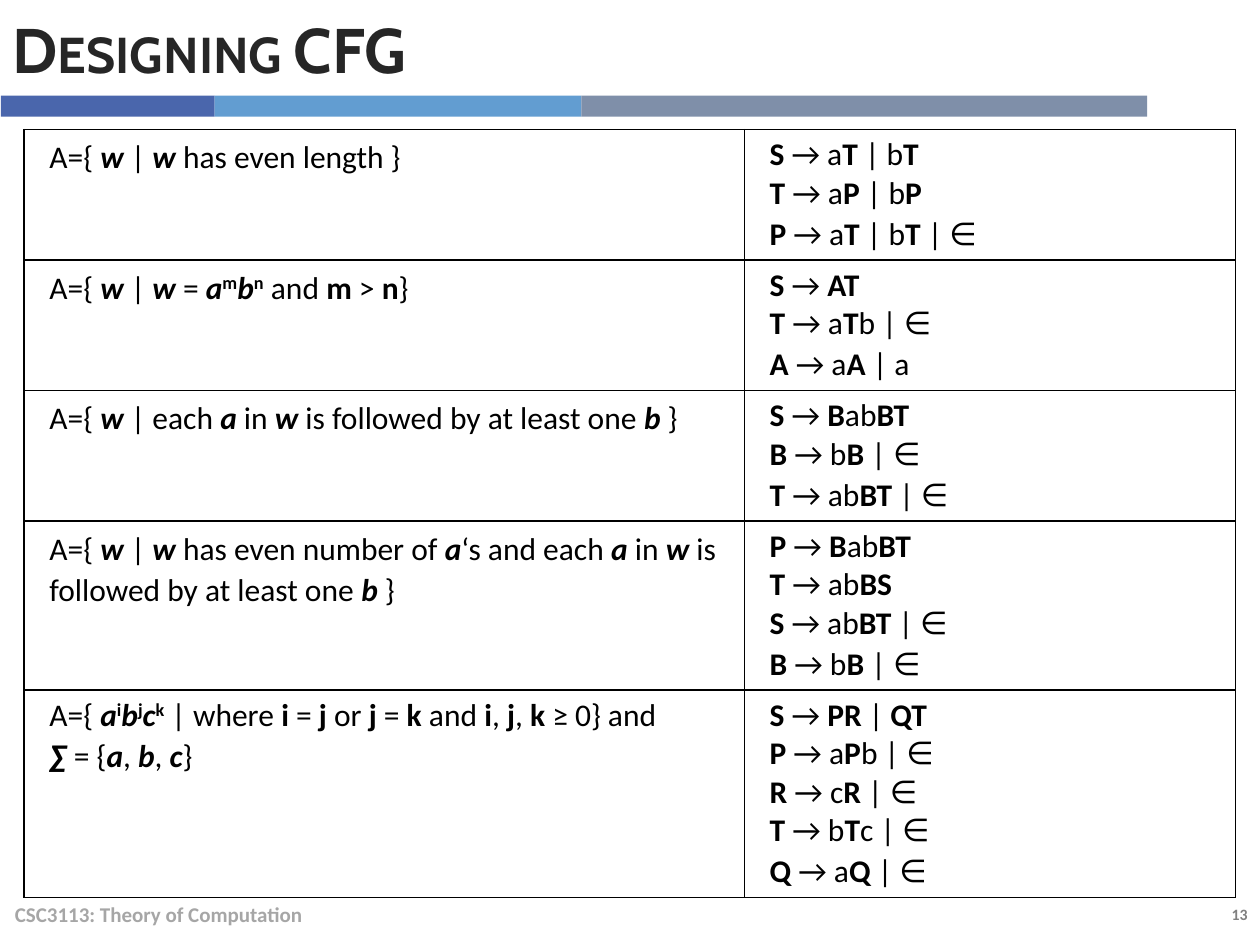
from itertools import groupby

from lxml import etree
from pptx import Presentation
from pptx.dml.color import RGBColor
from pptx.enum.shapes import MSO_SHAPE
from pptx.enum.text import MSO_ANCHOR, MSO_AUTO_SIZE, PP_ALIGN
from pptx.oxml.ns import qn
from pptx.util import Pt

RECTANGLE = MSO_SHAPE.RECTANGLE
TOP, MIDDLE = MSO_ANCHOR.TOP, MSO_ANCHOR.MIDDLE
LEFT, RIGHT = PP_ALIGN.LEFT, PP_ALIGN.RIGHT
NO_AUTOFIT = MSO_AUTO_SIZE.NONE

COLORS = {
    "title": "262626",
    "text": "000000",
    "border": "000000",
    "footer": "A6A6A6",
    "number": "808080",
    "indigo": "4A66AC",
    "sky": "629DD1",
    "slate": "7F8FA9",
}

BANNER_TOP, BANNER_HEIGHT = 54.7, 12
BANNER_LEFT = 0.5
BANNER_BARS = [("indigo", 122.2), ("sky", 209.5), ("slate", 323.3)]

TABLE_LEFT, TABLE_TOP = 13.8, 74
COLUMN_WIDTHS = [411.6, 280.6]
LINE_HEIGHT, ROW_PADDING = 22, 8.6
LAST_LINE_SPACING = 1.07

# In the languages, *x* is bold italic, _x_ is bold and ^x^ is a bold superscript.
MARKS = {
    "*": {"bold": True, "italic": True},
    "_": {"bold": True},
    "^": {"bold": True, "superscript": True},
}
LANGUAGES_AND_RULES = [
    (["A={ *w* | *w* has even length }"],
     ["S → aT | bT", "T → aP | bP", "P → aT | bT | ∈"]),
    (["A={ *w* | *w* = *a*^m^*b*^n^ and _m_ > _n_}"],
     ["S → AT", "T → aTb | ∈", "A → aA | a"]),
    (["A={ *w* | each *a* in *w* is followed by at least one *b* }"],
     ["S → BabBT", "B → bB | ∈", "T → abBT | ∈"]),
    (["A={ *w* | *w* has even number of *a*‘s and each *a* in *w* is "
      "followed by at least one *b* }"],
     ["P → BabBT", "T → abBS", "S → abBT | ∈", "B → bB | ∈"]),
    (["A={ *a*^i^*b*^j^*c*^k^ | where _i_ = _j_ or _j_ = _k_ and _i_, _j_, _k_ ≥ 0} and",
      "*∑* = {*a*, *b*, *c*}"],
     ["S → PR | QT", "P → aPb | ∈", "R → cR | ∈", "T → bTc | ∈", "Q → aQ | ∈"]),
]


def add_run(paragraph, text, size=18, color="text", font="Calibri", bold=False,
            italic=False, superscript=False, small_caps=False):
    run = paragraph.add_run()
    run.text = text
    run.font.name = font
    run.font.size = Pt(size)
    run.font.bold = bold
    run.font.italic = italic
    run.font.color.rgb = RGBColor.from_string(COLORS[color])
    properties = run._r.get_or_add_rPr()
    if superscript:
        properties.set("baseline", "30000")
    if small_caps:
        properties.set("cap", "small")


def add_language(paragraph, text):
    """Add marked text, starting a new run at each mark."""
    mark, piece = None, ""
    for character in text:
        if character not in MARKS:
            piece += character
            continue
        if piece:
            add_run(paragraph, piece, **MARKS.get(mark, {}))
        mark, piece = (None if mark else character), ""
    if piece:
        add_run(paragraph, piece)


def add_rule(paragraph, text):
    """Add a grammar rule with its variables, the capital letters, in bold."""
    for is_variable, characters in groupby(text, str.isupper):
        add_run(paragraph, "".join(characters), bold=is_variable)


def add_title(slide, text):
    title = slide.shapes.title
    title.left, title.top, title.width, title.height = Pt(0), Pt(0), Pt(655), Pt(55)
    frame = title.text_frame
    frame.auto_size = NO_AUTOFIT
    frame.vertical_anchor = MIDDLE
    paragraph = frame.paragraphs[0]
    paragraph.alignment = LEFT
    add_run(paragraph, text, size=36, color="title", font="Cabin", bold=True,
            small_caps=True)


def add_banner(slide):
    left = BANNER_LEFT
    banner = slide.shapes.add_group_shape()
    for color, width in BANNER_BARS:
        bar = banner.shapes.add_shape(
            RECTANGLE, Pt(left), Pt(BANNER_TOP), Pt(width), Pt(BANNER_HEIGHT))
        bar.shadow.inherit = False
        bar.fill.solid()
        bar.fill.fore_color.rgb = RGBColor.from_string(COLORS[color])
        bar.line.fill.background()
        left += width


def add_label(slide, text, left, top, width, height, alignment=LEFT, anchor=TOP,
              **text_format):
    box = slide.shapes.add_textbox(Pt(left), Pt(top), Pt(width), Pt(height))
    frame = box.text_frame
    frame.word_wrap = True
    frame.vertical_anchor = anchor
    paragraph = frame.paragraphs[0]
    paragraph.alignment = alignment
    add_run(paragraph, text, **text_format)


def add_borders(cell):
    properties = cell._tc.get_or_add_tcPr()
    for side in ("a:lnL", "a:lnR", "a:lnT", "a:lnB"):
        line = etree.SubElement(properties, qn(side), w=str(Pt(1)))
        fill = etree.SubElement(line, qn("a:solidFill"))
        etree.SubElement(fill, qn("a:srgbClr"), val=COLORS["border"])


def fill_cell(cell, lines, add_line):
    add_borders(cell)
    cell.fill.background()
    cell.margin_left, cell.margin_right = Pt(14.4), Pt(5)
    cell.margin_top = cell.margin_bottom = Pt(3.6)
    frame = cell.text_frame
    for index, line in enumerate(lines):
        paragraph = frame.add_paragraph() if index else frame.paragraphs[0]
        add_line(paragraph, line)
    paragraph.line_spacing = LAST_LINE_SPACING


def add_grammar_table(slide):
    heights = [len(rules) * LINE_HEIGHT + ROW_PADDING for _, rules in LANGUAGES_AND_RULES]
    table = slide.shapes.add_table(
        len(heights), len(COLUMN_WIDTHS), Pt(TABLE_LEFT), Pt(TABLE_TOP),
        Pt(sum(COLUMN_WIDTHS)), Pt(sum(heights))).table
    table.first_row = table.horz_banding = False
    for column, width in zip(table.columns, COLUMN_WIDTHS):
        column.width = Pt(width)
    for row, height, (language, rules) in zip(table.rows, heights, LANGUAGES_AND_RULES):
        row.height = Pt(height)
        fill_cell(row.cells[0], language, add_language)
        fill_cell(row.cells[1], rules, add_rule)


def main():
    presentation = Presentation()
    presentation.slide_width, presentation.slide_height = Pt(720), Pt(540)
    title_only = presentation.slide_layouts[5]
    slide = presentation.slides.add_slide(title_only)
    add_banner(slide)
    add_label(slide, "13", 628.5, 513.4, 91.5, 18, alignment=RIGHT,
              size=9, color="number", bold=True)
    add_label(slide, "CSC3113: Theory of Computation", 1.4, 507.6, 482, 29,
              anchor=MIDDLE, size=12, color="footer", bold=True)
    add_title(slide, "Designing CFG")
    add_grammar_table(slide)
    presentation.save("out.pptx")


if __name__ == "__main__":
    main()
